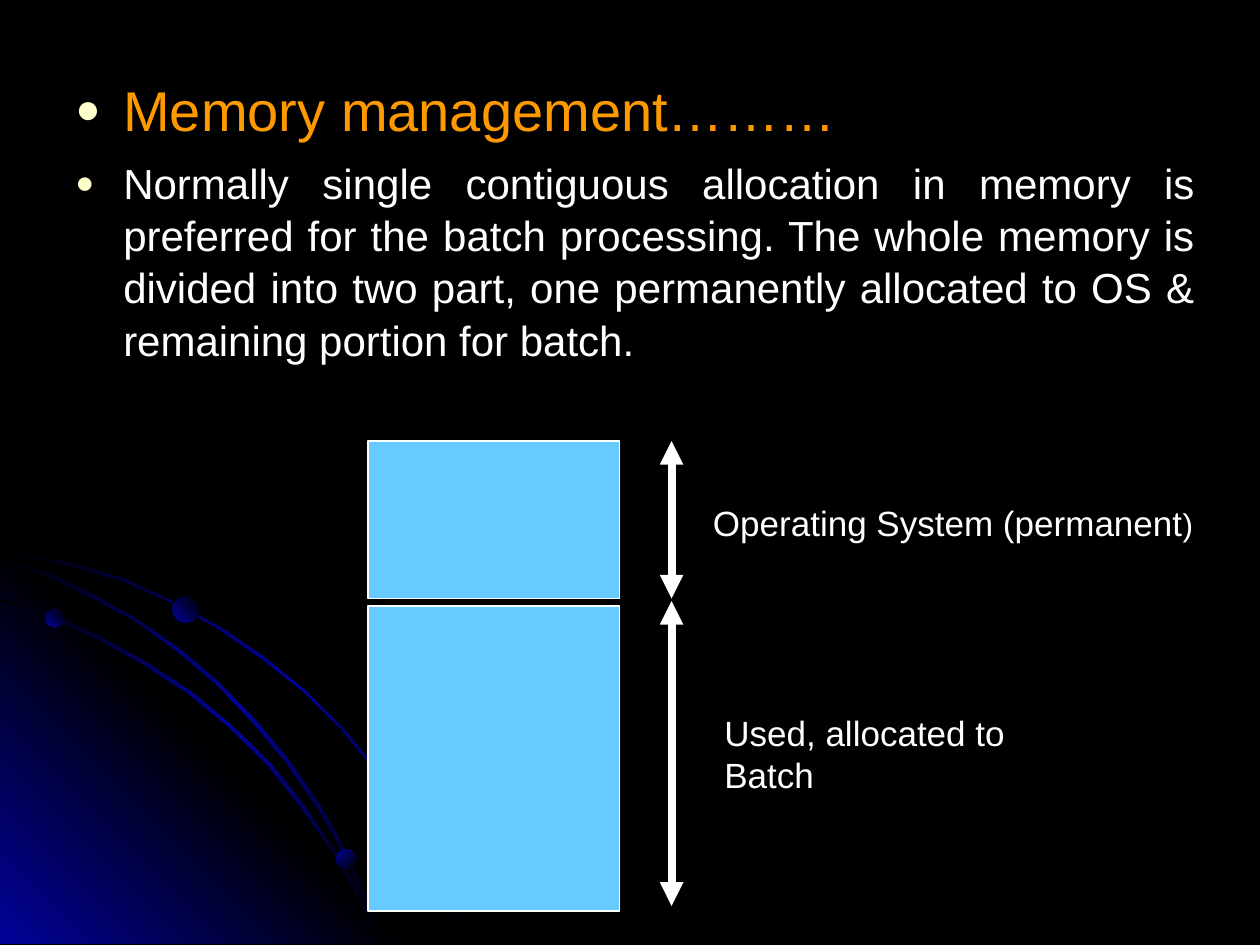
from dataclasses import dataclass

from lxml import etree
from pptx import Presentation
from pptx import util as u
from pptx.dml import color
from pptx.enum import shapes, text
from pptx.oxml import ns

PX = 9144
FONT = "Arial"
COLORS = {
    "black": "000000",
    "blue": "010199",
    "orange": "FF9900",
    "white": "FFFFFF",
    "cream": "FFFFCC",
    "sky": "66CCFF",
}


@dataclass(frozen=True)
class Outline:
    points: tuple[tuple[int, int], ...]
    stops: tuple[str, ...]
    angle: int


@dataclass(frozen=True)
class Dot:
    x: int
    y: int
    size: int
    angle: int


@dataclass(frozen=True)
class Block:
    top: int
    height: int


@dataclass(frozen=True)
class Arrow:
    top: int
    bottom: int


@dataclass(frozen=True)
class Label:
    x: int
    y: int
    w: int
    runs: tuple[tuple[str, int], ...]


GLOW = ("black", "blue", "black")
OUTLINES = (
    Outline((
        (57, 447), (28, 441), (0, 435), (0, 438), (28, 443), (56, 449), (97, 461),
        (135, 478), (173, 499), (208, 523), (241, 549), (271, 579), (298, 612),
        (323, 649), (337, 673), (350, 698), (360, 723), (370, 749), (372, 749),
        (362, 723), (352, 698), (339, 673), (325, 648), (300, 611), (272, 578),
        (242, 548), (209, 521), (174, 497), (136, 477), (98, 459)), GLOW, 225),
    Outline(((322, 749), (0, 749), (0, 427)), ("blue", "black", "blue"), 135),
    Outline((
        (285, 714), (294, 732), (301, 749), (303, 749), (296, 730), (286, 712),
        (266, 676), (242, 640), (215, 606), (184, 576), (152, 549), (117, 526),
        (79, 505), (41, 488), (0, 475), (0, 477), (39, 490), (77, 507), (115, 528),
        (150, 551), (183, 578), (213, 608), (240, 642), (265, 677)), GLOW, 225),
    Outline((
        (0, 442), (0, 444), (36, 457), (74, 475), (109, 494), (142, 518), (173, 544),
        (202, 575), (227, 605), (252, 641), (267, 667), (280, 694), (292, 722),
        (301, 749), (303, 749), (294, 720), (282, 693), (269, 665), (254, 639),
        (229, 603), (204, 573), (175, 543), (144, 516), (111, 493), (76, 473),
        (39, 455)), GLOW, 225),
)
DOTS = (Dot(36, 483, 15, 135), Dot(267, 674, 16, 225), Dot(137, 473, 21, 135))
BLOCKS = (Block(350, 125), Block(481, 242))
ARROWS = (Arrow(350, 475), Arrow(477, 719))
LABELS = (
    Label(556, 393, 401, (("Operating System (permanent", 20), (")", 18))),
    Label(565, 560, 321, (("Used, allocated to Batch", 20),)),
)
BODY = (
    "Normally single contiguous allocation in memory is preferred for the batch "
    "processing. The whole memory is divided into two part, one permanently "
    "allocated to OS & remaining portion for batch."
)


def rgb(name: str) -> color.RGBColor:
    return color.RGBColor.from_string(COLORS[name])


def fill_gradient(sp, stops: tuple[str, ...], angle: int) -> None:
    sp.shadow.inherit = False
    sp.line.fill.background()
    sp.fill.gradient()
    sp.fill.gradient_angle = 360 - angle
    stop_list = sp._element.spPr.find(".//" + ns.qn("a:gsLst"))
    for old in list(stop_list):
        stop_list.remove(old)
    for i, name in enumerate(stops):
        gs = etree.SubElement(stop_list, ns.qn("a:gs"), pos=str(100000 * i // (len(stops) - 1)))
        etree.SubElement(gs, ns.qn("a:srgbClr"), val=COLORS[name])


def draw_outline(s, outline: Outline) -> None:
    start, *rest = outline.points
    builder = s.shapes.build_freeform(*start, scale=PX)
    builder.add_line_segments(rest, close=True)
    fill_gradient(builder.convert_to_shape(), outline.stops, outline.angle)


def draw_dot(s, dot: Dot) -> None:
    sp = s.shapes.add_shape(
        shapes.MSO_SHAPE.OVAL, dot.x * PX, dot.y * PX, dot.size * PX, dot.size * PX)
    fill_gradient(sp, ("black", "blue"), dot.angle)


def draw_block(s, block: Block) -> None:
    sp = s.shapes.add_shape(
        shapes.MSO_SHAPE.RECTANGLE, 292 * PX, block.top * PX, 200 * PX, block.height * PX)
    sp.shadow.inherit = False
    sp.fill.solid()
    sp.fill.fore_color.rgb = rgb("sky")
    sp.line.color.rgb = rgb("white")
    sp.line.width = u.Pt(0.75)


def draw_arrow(s, arrow: Arrow) -> None:
    x = 533 * PX
    sp = s.shapes.add_connector(
        shapes.MSO_CONNECTOR.STRAIGHT, x, arrow.top * PX, x, arrow.bottom * PX)
    sp.line.color.rgb = rgb("white")
    sp.line.width = u.Pt(4.5)
    ln = sp.line._get_or_add_ln()
    for end in ("a:headEnd", "a:tailEnd"):
        etree.SubElement(ln, ns.qn(end), type="triangle")
    etree.SubElement(sp._element.spPr, ns.qn("a:effectLst"))


def add_text(p, content: str, *, size: int, fill: str = "white") -> None:
    r = p.add_run()
    r.text = content
    r.font.name = FONT
    r.font.size = u.Pt(size)
    r.font.color.rgb = rgb(fill)


def add_bullet(p) -> None:
    pPr = p._p.get_or_add_pPr()
    pPr.set("marL", str(38 * PX))
    pPr.set("indent", str(-38 * PX))
    clr = etree.SubElement(pPr, ns.qn("a:buClr"))
    etree.SubElement(clr, ns.qn("a:srgbClr"), val=COLORS["cream"])
    etree.SubElement(pPr, ns.qn("a:buSzPct"), val="75000")
    etree.SubElement(pPr, ns.qn("a:buFont"), typeface=FONT)
    etree.SubElement(pPr, ns.qn("a:buChar"), char="●")
    p.line_spacing = 1.04


def draw_label(s, label: Label) -> None:
    sp = s.shapes.add_textbox(label.x * PX, label.y * PX, label.w * PX, 44 * PX)
    tf = sp.text_frame
    tf.word_wrap = False
    tf.auto_size = text.MSO_AUTO_SIZE.SHAPE_TO_FIT_TEXT
    for content, size in label.runs:
        add_text(tf.paragraphs[0], content, size=size)


def draw_body(s) -> None:
    tf = s.shapes.add_textbox(50 * PX, 50 * PX, 908 * PX, 667 * PX).text_frame
    tf.word_wrap = True
    tf.margin_top = 8 * PX
    p = tf.paragraphs[0]
    add_bullet(p)
    add_text(p, "Memory management………", size=32, fill="orange")
    p = tf.add_paragraph()
    add_bullet(p)
    p.alignment = text.PP_ALIGN.JUSTIFY
    p.space_before = u.Pt(7)
    add_text(p, BODY, size=24)


def main() -> None:
    prs = Presentation()
    prs.slide_width, prs.slide_height = 1000 * PX, 750 * PX
    s = prs.slides.add_slide(prs.slide_layouts[6])
    s.background.fill.solid()
    s.background.fill.fore_color.rgb = rgb("black")
    for outline in OUTLINES:
        draw_outline(s, outline)
    for dot in DOTS:
        draw_dot(s, dot)
    draw_body(s)
    for block in BLOCKS:
        draw_block(s, block)
    for arrow in ARROWS:
        draw_arrow(s, arrow)
    for label in LABELS:
        draw_label(s, label)
    prs.save("out.pptx")


if __name__ == "__main__":
    main()
